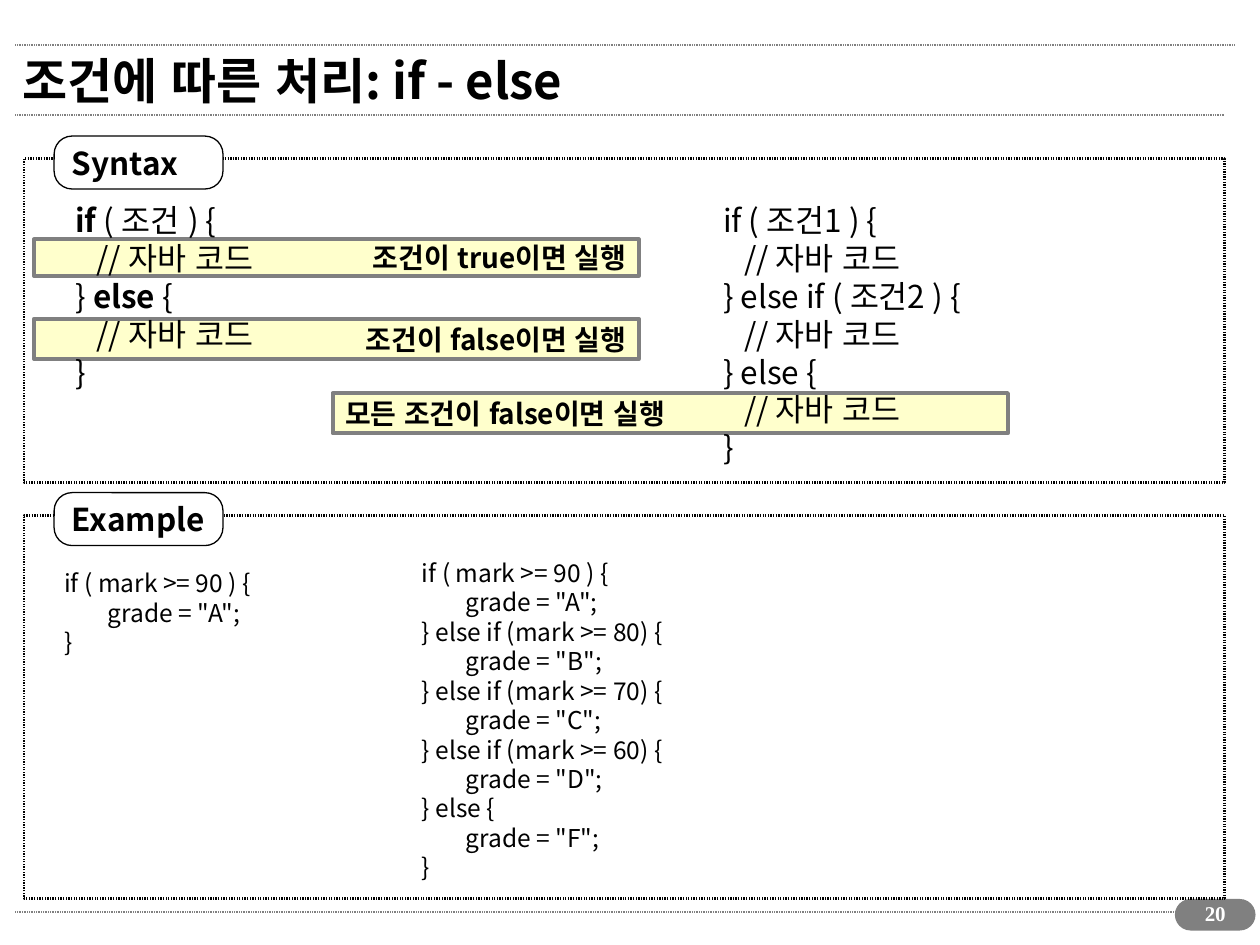
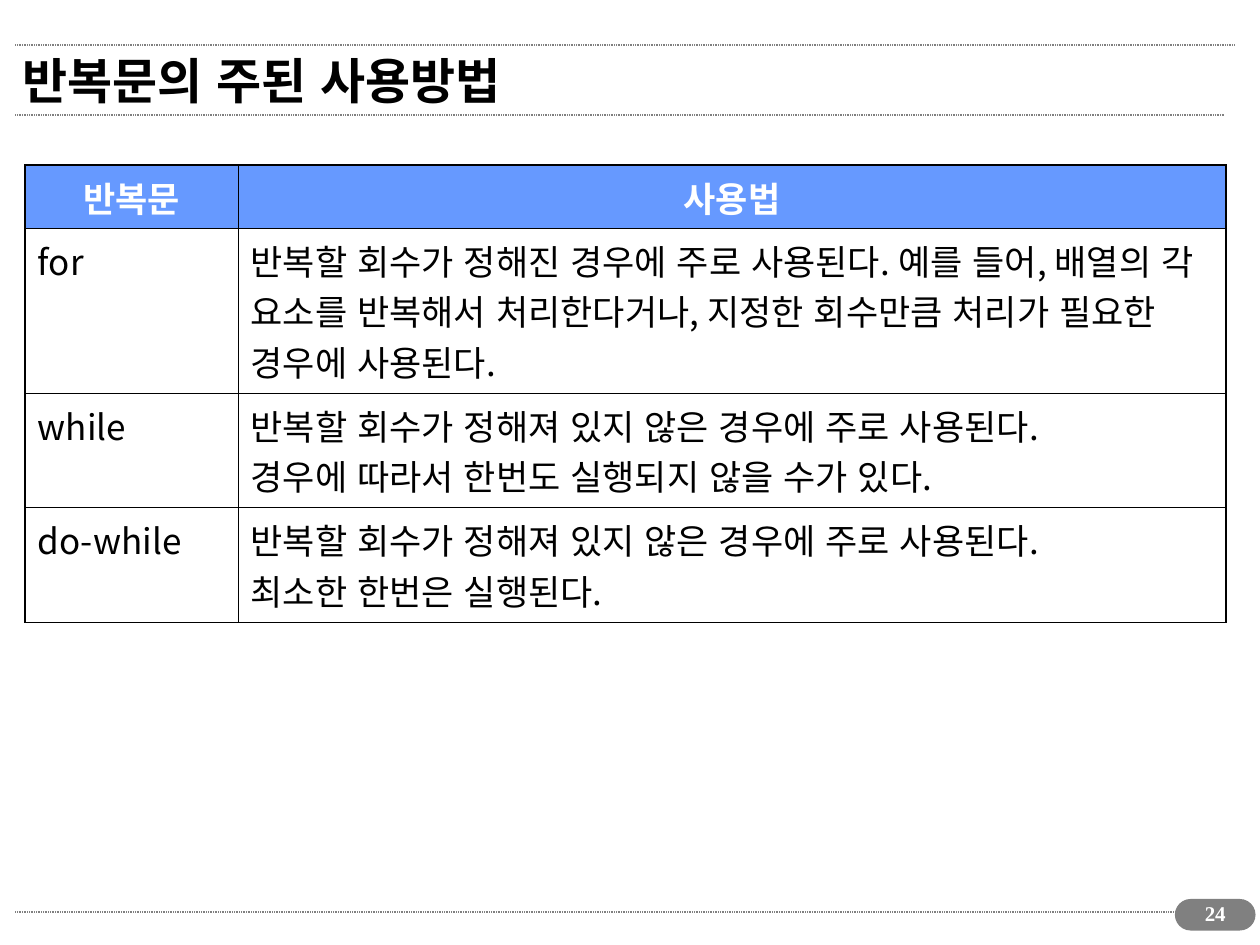
import pptx
import pptx.dml.color
import pptx.enum.lang
import pptx.enum.shapes
import pptx.enum.text
import pptx.oxml.xmlchemy
import pptx.util

Inches, Pt = pptx.util.Inches, pptx.util.Pt
RGB = pptx.dml.color.RGBColor.from_string
SHAPE = pptx.enum.shapes.MSO_SHAPE
ALIGN = pptx.enum.text.PP_ALIGN
FIT = pptx.enum.text.MSO_AUTO_SIZE
ANCHOR = pptx.enum.text.MSO_ANCHOR
KOREAN = pptx.enum.lang.MSO_LANGUAGE_ID.KOREAN
make = pptx.oxml.xmlchemy.OxmlElement

# Asterisks enclose bold words in code.
CODE = [
    ((0.5, 1.55, 1.69, 1.6), "syntax", [
        "*if* ( 조건 ) {", "   // 자바 코드", "} *else* {",
        "   // 자바 코드", "}"]),
    ((5.64, 1.55, 2.27, 2.2), "syntax", [
        "if ( 조건1 ) {", "   // 자바 코드", "} else if ( 조건2 ) {",
        "   // 자바 코드", "} else {", "   // 자바 코드", "}"]),
    ((3.25, 4.38, 2.23, 2.67), "sample", [
        "if ( mark >= 90 ) {", '        grade = "A";',
        "} else if (mark >= 80) {", '        grade = "B";',
        "} else if (mark >= 70) {", '        grade = "C";',
        "} else if (mark >= 60) {", '        grade = "D";',
        "} else {", '        grade = "F";', "}"]),
    ((0.41, 4.46, 1.79, 0.8), "sample", [
        "if ( mark >= 90 ) {", '        grade = "A";', "}"]),
]
BARS = [
    ((2.64, 3.12, 5.36, 0.32), "note", "모든 조건이 false이면 실행"),
    ((0.27, 2.53, 4.8, 0.32), "side", "조건이 false이면 실행"),
    ((0.27, 1.9, 4.8, 0.29), "side", "조건이 true이면 실행"),
]
PANELS = [("Syntax", 1.26, 2.57), ("Example", 4.09, 3.04)]
LOOPS = [
    (0.5, ["반복문"], ["사용법"]),
    (1.31, ["for"], [
        "반복할 회수가 정해진 경우에 주로 사용된다. 예를 들어, 배열의 각 요소를 "
        "반복해서 처리한다거나, 지정한 회수만큼 처리가 필요한 경우에 사용된다."]),
    (0.91, ["while"], [
        "반복할 회수가 정해져 있지 않은 경우에 주로 사용된다.",
        "경우에 따라서 한번도 실행되지 않을 수가 있다."]),
    (0.91, ["do-while"], [
        "반복할 회수가 정해져 있지 않은 경우에 주로 사용된다.",
        "최소한 한번은 실행된다."]),
]
COLS = [1.69, 7.84]
RULES = [(7.24, 9.73), (0.91, 9.72), (0.36, 9.8)]


class Theme:
    black, white, gray = "000000", "FFFFFF", "808080"
    cream, blue = "FFFFCC", "6699FF"
    sans, serif = "Noto Sans CJK KR", "Times New Roman"
    thin, thick = 0.45, 1.08
    base = dict(size=18, bold=False, color=black, name=sans, align=ALIGN.LEFT)
    text = {
        "title": dict(size=28, bold=True),
        "label": dict(bold=True),
        "note": dict(size=16, bold=True),
        "side": dict(size=16, bold=True, align=ALIGN.RIGHT),
        "syntax": dict(),
        "sample": dict(size=14),
        "head": dict(size=20, bold=True, color=white, align=ALIGN.CENTER),
        "cell": dict(size=20),
        "page": dict(size=12, bold=True, color=white, name=serif,
                     align=ALIGN.CENTER),
    }


def box(at):
    return [Inches(v) for v in at]


def write(frame, lines, kind):
    look = {**Theme.base, **Theme.text[kind]}
    for i, line in enumerate(lines):
        para = frame.add_paragraph() if i else frame.paragraphs[0]
        form = dict(alignment=look["align"], line_spacing=1.0,
                    space_before=Pt(0), space_after=Pt(0))
        for key, val in form.items():
            setattr(para, key, val)
        for j, part in enumerate(line.split("*")):
            if not part:
                continue
            run = para.add_run()
            run.text = part
            form = dict(size=Pt(look["size"]), bold=look["bold"] or j % 2 == 1,
                        name=look["name"], language_id=KOREAN)
            for key, val in form.items():
                setattr(run.font, key, val)
            run.font.color.rgb = RGB(look["color"])
            east = make("a:ea")
            east.set("typeface", look["name"])
            run.font._element.append(east)


def frame_up(frame, **form):
    for key, val in form.items():
        setattr(frame, key, val)


def dot(line):
    """Give a line dots finer than any preset dash."""
    dash, stop = make("a:custDash"), make("a:ds")
    for key in ("d", "sp"):
        stop.set(key, "50000")
    dash.append(stop)
    ln = line._get_or_add_ln()
    ln.insert(1, dash)


def draw(slide, kind, at, fill, line, width):
    shape = slide.shapes.add_shape(kind, *box(at))
    shape.shadow.inherit = False
    if fill:
        shape.fill.solid()
        shape.fill.fore_color.rgb = RGB(fill)
    else:
        shape.fill.background()
    shape.line.color.rgb = RGB(line)
    shape.line.width = Pt(width)
    return shape


def start(deck, title, page):
    """Add a slide with its rules, title and page number."""
    slide = deck.slides.add_slide(deck.slide_layouts[5])
    for y, end in RULES:
        rule = slide.shapes.add_connector(
            pptx.enum.shapes.MSO_CONNECTOR.STRAIGHT, *box((0.12, y, end, y)))
        rule.line.color.rgb = RGB(Theme.gray)
        rule.line.width = Pt(1)
        dot(rule.line)
        rule._element.spPr.append(make("a:effectLst"))
    pill = draw(slide, SHAPE.ROUNDED_RECTANGLE, (9.33, 7.14, 0.63, 0.24),
                Theme.gray, Theme.gray, 0.75)
    pill.adjustments[0] = 0.5
    head = slide.shapes.title
    head.left, head.top, head.width, head.height = box((0.08, 0.28, 9.1, 0.71))
    frame_up(head.text_frame, auto_size=FIT.NONE, word_wrap=True,
             vertical_anchor=ANCHOR.MIDDLE)
    write(head.text_frame, [title], "title")
    mark = slide.shapes.add_textbox(*box((9.37, 7.1, 0.55, 0.34)))
    mark.text_frame.word_wrap = True
    write(mark.text_frame, [str(page)], "page")
    return slide


def show_if(slide):
    for at, kind, text in BARS:
        bar = draw(slide, SHAPE.RECTANGLE, at, Theme.cream, Theme.gray, 2.25)
        frame_up(bar.text_frame, word_wrap=False,
                 vertical_anchor=ANCHOR.MIDDLE)
        write(bar.text_frame, [text], kind)
    for name, top, tall in PANELS:
        panel = draw(slide, SHAPE.RECTANGLE, (0.19, top, 9.53, tall),
                     None, Theme.black, 1.5)
        dot(panel.line)
        label = draw(slide, SHAPE.ROUNDED_RECTANGLE,
                     (0.43, top - 0.18, 1.34, 0.42),
                     Theme.white, Theme.black, 0.75)
        label.adjustments[0] = 0.34
        frame_up(label.text_frame, word_wrap=False,
                 vertical_anchor=ANCHOR.MIDDLE)
        write(label.text_frame, [name], "label")
    for at, kind, lines in CODE:
        code = slide.shapes.add_textbox(*box(at))
        frame_up(code.text_frame, word_wrap=False,
                 auto_size=FIT.SHAPE_TO_FIT_TEXT)
        write(code.text_frame, lines, kind)


def edge(cell, outer):
    """Draw the four borders, heavy where the cell meets the table's rim."""
    props = cell._tc.get_or_add_tcPr()
    for i, (side, rim) in enumerate(outer.items()):
        line = make("a:" + side)
        line.set("w", str(Pt(Theme.thick if rim else Theme.thin)))
        fill, color = make("a:solidFill"), make("a:srgbClr")
        color.set("val", Theme.black)
        fill.append(color)
        line.append(fill)
        props.insert(i, line)


def show_loops(slide):
    tall = sum(row[0] for row in LOOPS)
    grid = slide.shapes.add_table(
        len(LOOPS), len(COLS), *box((0.2, 1.31, sum(COLS), tall))).table
    grid.first_row = grid.horz_banding = False
    for col, wide in zip(grid.columns, COLS):
        col.width = Inches(wide)
    for r, (high, *texts) in enumerate(LOOPS):
        grid.rows[r].height = Inches(high)
        for c, lines in enumerate(texts):
            cell = grid.cell(r, c)
            if r:
                cell.fill.background()
            else:
                cell.fill.solid()
                cell.fill.fore_color.rgb = RGB(Theme.blue)
            edge(cell, dict(lnL=c == 0, lnR=c == len(COLS) - 1,
                            lnT=r == 0, lnB=r == len(LOOPS) - 1))
            write(cell.text_frame, lines, "cell" if r else "head")


def main():
    deck = pptx.Presentation()
    deck.slide_width, deck.slide_height = Inches(10), Inches(7.5)
    show_if(start(deck, "조건에 따른 처리: if - else", 20))
    show_loops(start(deck, "반복문의 주된 사용방법", 24))
    deck.save("out.pptx")


if __name__ == "__main__":
    main()
